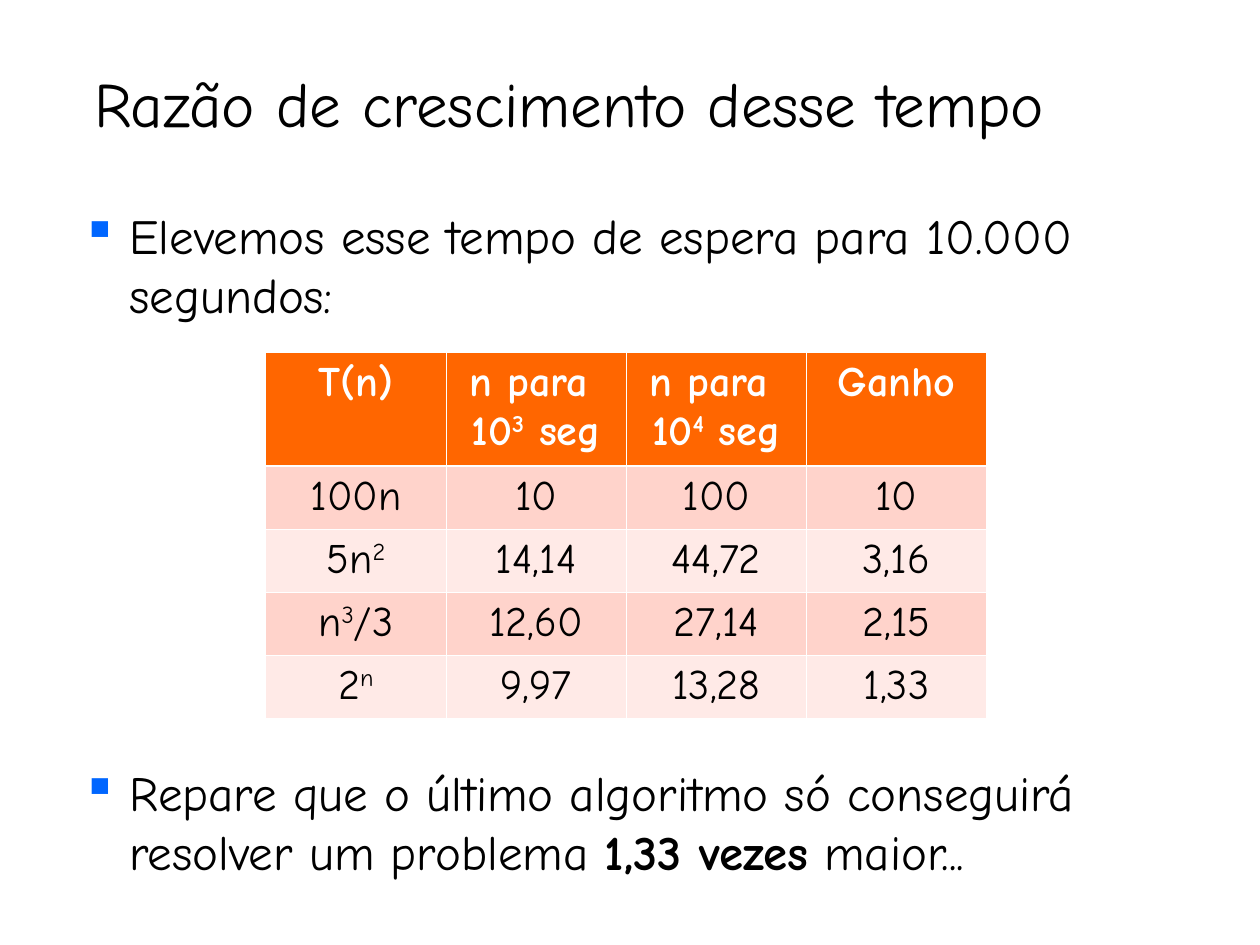
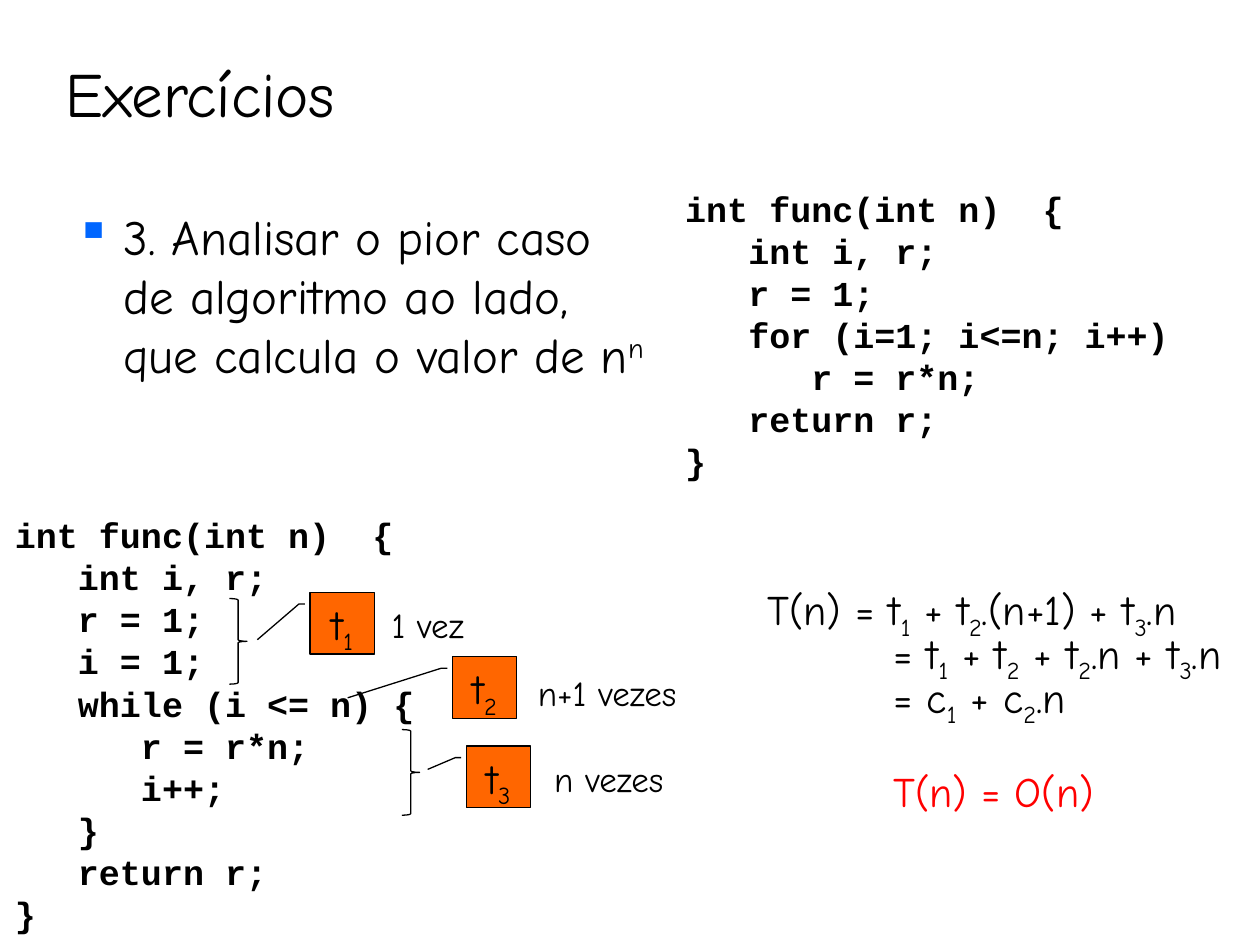
from lxml import etree
from pptx import Presentation
from pptx.dml.color import RGBColor
from pptx.enum.shapes import MSO_SHAPE
from pptx.enum.text import MSO_ANCHOR, PP_ALIGN
from pptx.oxml.ns import qn
from pptx.util import Inches, Pt

CENTER = PP_ALIGN.CENTER
LEFT = PP_ALIGN.LEFT
TOP = MSO_ANCHOR.TOP
BOTTOM = MSO_ANCHOR.BOTTOM
CALLOUT = MSO_SHAPE.LINE_CALLOUT_2
BRACE = MSO_SHAPE.RIGHT_BRACE

COLORS = {
    "text": "000000",
    "background": "FFFFFF",
    "bullet": "0066FF",
    "accent": "FF6600",
    "dark_band": "FFD3CB",
    "light_band": "FFEAE7",
    "answer": "FF0000",
}
BODY_FONT = "Comic Neue"
CODE_FONT = "Courier New"
SUPERSCRIPT = 30000
SUBSCRIPT = -25000

GAIN_ROWS = [
    ["T(n)", "n para \n10|3| seg", "n para \n10|4| seg", "Ganho"],
    ["100n", "10", "100", "10"],
    ["5n|2|", "14,14", "44,72", "3,16"],
    ["n|3|/3", "12,60", "27,14", "2,15"],
    ["2|n|", "9,97", "13,28", "1,33"],
]

FOR_CODE = """int func(int n)  {
   int i, r;
   r = 1;
   for (i=1; i<=n; i++)
      r = r*n;
   return r;
}"""

WHILE_CODE = """int func(int n)  {
   int i, r;
   r = 1;
   i = 1;
   while (i <= n) {
      r = r*n;
      i++;
   }
   return r;
}"""

EQUATIONS = """T(n) = t|1| + t|2|.(n+1) + t|3|.n
= t|1| + t|2| + t|2|.n + t|3|.n
= c|1| + c|2|.n
T(n) = O(n)"""


def rgb(name):
    """Return the named colour."""
    return RGBColor.from_string(COLORS[name])


def write_text(frame, text, size=24, font=BODY_FONT, color="text", bold=False,
               align=LEFT, anchor=TOP, wrap=True, baseline=None, spacing=None):
    """Write lines of text; parts between bars get the baseline shift, or bold."""
    frame.word_wrap = wrap
    frame.vertical_anchor = anchor
    for number, line in enumerate(text.split("\n")):
        paragraph = frame.add_paragraph() if number else frame.paragraphs[0]
        paragraph.alignment = align
        paragraph.line_spacing = spacing
        for position, part in enumerate(line.split("|")):
            if not part:
                continue
            marked = position % 2 == 1
            run = paragraph.add_run()
            run.text = part
            run.font.name = font
            run.font.size = Pt(size)
            run.font.color.rgb = rgb(color)
            run.font.bold = bold or (marked and baseline is None)
            if marked and baseline:
                run._r.get_or_add_rPr().set("baseline", str(baseline))


def add_text(slide, text, left, top, width, height, **text_format):
    """Add a text box and return its frame."""
    box = slide.shapes.add_textbox(
        Inches(left), Inches(top), Inches(width), Inches(height))
    write_text(box.text_frame, text, **text_format)
    return box.text_frame


def add_title(slide, text, left, top, width, height):
    """Add a slide title."""
    add_text(slide, text, left, top, width, height, size=36, anchor=BOTTOM)


def set_indent(paragraph, margin, first_line=0):
    """Set the left margin and first-line indent in inches."""
    properties = paragraph._p.get_or_add_pPr()
    properties.set("marL", str(Inches(margin)))
    properties.set("indent", str(Inches(first_line)))
    return properties


def add_bullet(slide, text, left, top, width, height, **text_format):
    """Add a paragraph with a blue square bullet."""
    frame = add_text(slide, text, left, top, width, height, size=28, **text_format)
    properties = set_indent(frame.paragraphs[0], 0.38, -0.38)
    bullet_color = etree.SubElement(properties, qn("a:buClr"))
    etree.SubElement(bullet_color, qn("a:srgbClr"), val=COLORS["bullet"])
    etree.SubElement(properties, qn("a:buChar"), char="▪")


def add_code(slide, code, left, top, width, height):
    """Add a code listing."""
    add_text(slide, code, left, top, width, height,
             size=20, font=CODE_FONT, bold=True, spacing=Pt(24))


def set_borders(cell, top_width, bottom_width):
    """Draw white borders around a cell, before its fill element."""
    properties = cell._tc.get_or_add_tcPr()
    widths = {"lnL": 0.45, "lnR": 0.45, "lnT": top_width, "lnB": bottom_width}
    for position, (tag, width) in enumerate(widths.items()):
        line = etree.Element(qn(f"a:{tag}"), w=str(Pt(width)))
        fill = etree.SubElement(line, qn("a:solidFill"))
        etree.SubElement(fill, qn("a:srgbClr"), val=COLORS["background"])
        properties.insert(position, line)


def add_gain_table(slide, rows, left, top, column_width, header_height, row_height):
    """Add the banded table of problem sizes and gains."""
    width = column_width * len(rows[0])
    height = header_height + row_height * (len(rows) - 1)
    table = slide.shapes.add_table(
        len(rows), len(rows[0]), Inches(left), Inches(top),
        Inches(width), Inches(height)).table
    for column in table.columns:
        column.width = Inches(column_width)
    for row_number, values in enumerate(rows):
        header = row_number == 0
        table.rows[row_number].height = Inches(header_height if header else row_height)
        band = "dark_band" if row_number % 2 else "light_band"
        for column_number, value in enumerate(values):
            cell = table.cell(row_number, column_number)
            cell.fill.solid()
            cell.fill.fore_color.rgb = rgb("accent" if header else band)
            set_borders(cell, 1.47 if row_number == 1 else 0.45, 1.47 if header else 0.45)
            write_text(cell.text_frame, value, align=CENTER, bold=header,
                       color="background" if header else "text",
                       baseline=SUPERSCRIPT)


def add_outlined_shape(slide, kind, left, top, width, height):
    """Add a preset shape with a thin black outline and no shadow."""
    shape = slide.shapes.add_shape(
        kind, Inches(left), Inches(top), Inches(width), Inches(height))
    shape.shadow.inherit = False
    shape.line.color.rgb = rgb("text")
    shape.line.width = Pt(0.75)
    return shape


def add_brace(slide, left, top):
    """Add a brace that groups lines of code."""
    add_outlined_shape(slide, BRACE, left, top, 0.14, 0.68).fill.background()


def add_time_callout(slide, number, left, top, pointer_y, pointer_x):
    """Add an orange time box whose leader ends at the given fractions."""
    shape = add_outlined_shape(slide, CALLOUT, left, top, 0.51, 0.49)
    shape.fill.solid()
    shape.fill.fore_color.rgb = rgb("accent")
    leader = (0.19, -0.08, 0.19, -0.17, pointer_y, pointer_x)
    for position, value in enumerate(leader):
        shape.adjustments[position] = value
    write_text(shape.text_frame, f"t|{number}|", align=CENTER, wrap=False,
               baseline=SUBSCRIPT)


def add_equations(slide, text, left, top, width, height):
    """Add the derivation, aligned under its first line, with a red answer."""
    frame = add_text(slide, text, left, top, width, height,
                     baseline=SUBSCRIPT, spacing=Pt(25))
    for paragraph in frame.paragraphs[1:]:
        set_indent(paragraph, 1)
    answer = frame.paragraphs[-1]
    answer.space_before = Pt(25)
    answer.runs[0].font.color.rgb = rgb("answer")


def add_slide(presentation):
    """Add a blank slide with the shared background."""
    slide = presentation.slides.add_slide(presentation.slide_layouts[6])
    slide.background.fill.solid()
    slide.background.fill.fore_color.rgb = rgb("background")
    return slide


def build_growth_slide(presentation):
    """Build the slide on the growth of running time."""
    slide = add_slide(presentation)
    add_title(slide, "Razão de crescimento desse tempo", 0.65, 0.46, 9.1, 0.7)
    add_bullet(slide, "Elevemos esse tempo de espera para 10.000 segundos:",
               0.55, 1.58, 9.23, 1.1)
    add_gain_table(slide, GAIN_ROWS, 2.11, 2.8, 1.43, 0.9, 0.5)
    add_bullet(slide, "Repare que o último algoritmo só conseguirá resolver "
               "um problema |1,33 vezes| maior...", 0.55, 6, 9.23, 1.02)


def build_exercise_slide(presentation):
    """Build the exercise slide with code and its analysis."""
    slide = add_slide(presentation)
    add_title(slide, "Exercícios", 0.42, 0.25, 9.08, 0.83)
    add_bullet(slide, "3. Analisar o pior caso de algoritmo ao lado, "
               "que calcula o valor de n|n|", 0.5, 1.59, 4.79, 1.97,
               baseline=SUPERSCRIPT)
    add_code(slide, FOR_CODE, 5.34, 1.44, 4.56, 2.44)
    add_code(slide, WHILE_CODE, 0.02, 4.03, 5, 3.44)
    add_brace(slide, 1.82, 4.75)
    add_brace(slide, 3.19, 5.79)
    add_time_callout(slide, 1, 2.46, 4.7, 0.77, -0.82)
    add_time_callout(slide, 2, 3.59, 5.21, 0.67, -1.63)
    add_time_callout(slide, 3, 3.7, 5.92, 0.38, -0.6)
    for label, left, top, width in (("1 vez", 3.01, 4.74, 0.78),
                                    ("n+1 vezes", 4.17, 5.28, 1.31),
                                    ("n vezes", 4.3, 5.96, 1.08)):
        add_text(slide, label, left, top, width, 0.44, size=20, wrap=False)
    add_equations(slide, EQUATIONS, 5.99, 4.69, 3.92, 1.84)


def main():
    """Build and save the presentation."""
    presentation = Presentation()
    presentation.slide_width = Inches(10)
    presentation.slide_height = Inches(7.5)
    build_growth_slide(presentation)
    build_exercise_slide(presentation)
    presentation.save("out.pptx")


if __name__ == "__main__":
    main()
